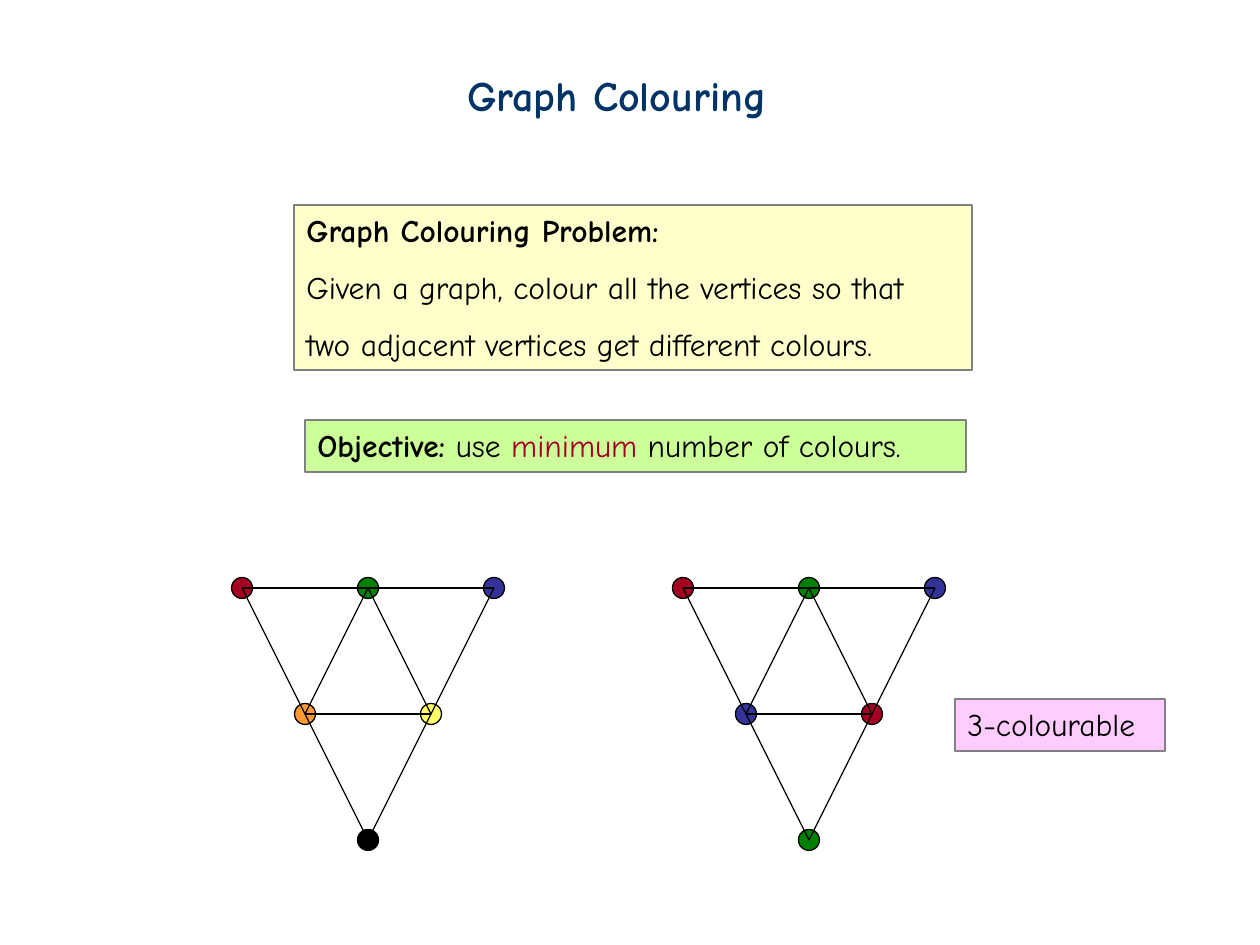
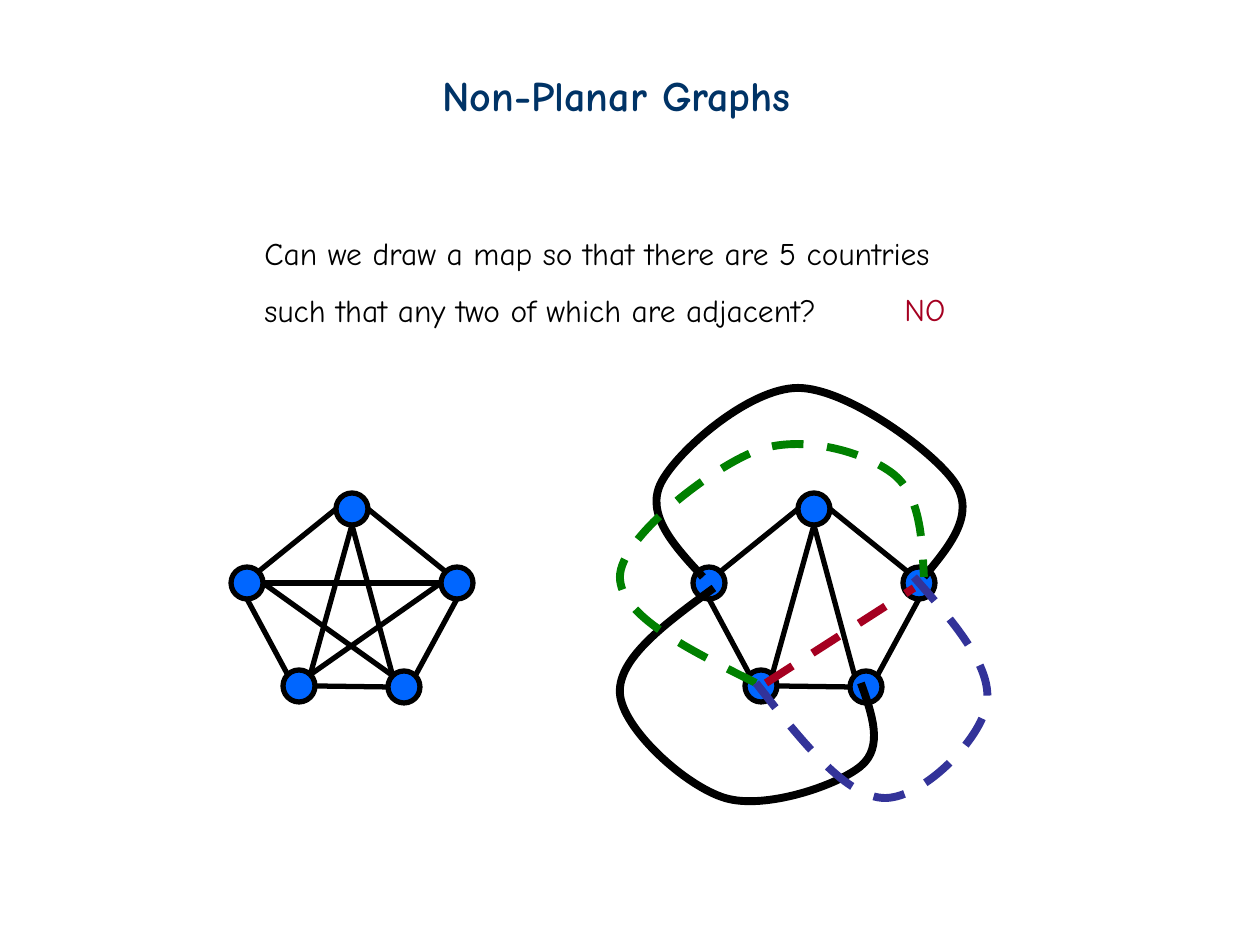
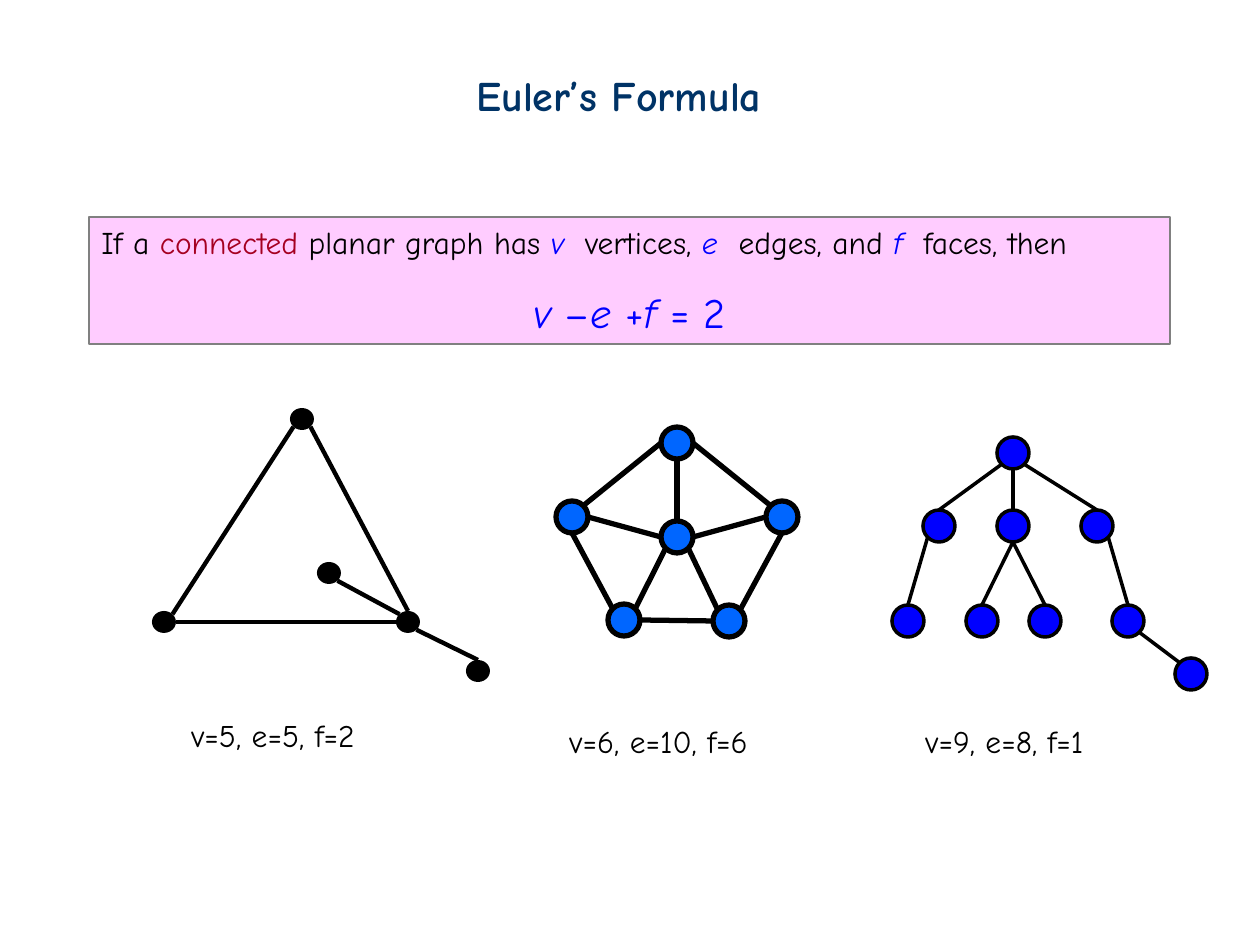
"""Build three slides on graph colouring, non-planar graphs and Euler's formula."""
import math

import lxml.etree
import pptx
import pptx.dml.color
import pptx.enum.dml
import pptx.enum.shapes
import pptx.enum.text
import pptx.oxml.ns
import pptx.util

RGBColor = pptx.dml.color.RGBColor
BLACK = RGBColor(0x00, 0x00, 0x00)
GREY = RGBColor(0x80, 0x80, 0x80)
NAVY = RGBColor(0x00, 0x33, 0x66)
RED = RGBColor(0xA5, 0x00, 0x21)
GREEN = RGBColor(0x00, 0x80, 0x00)
INDIGO = RGBColor(0x33, 0x33, 0x99)
ORANGE = RGBColor(0xFF, 0x99, 0x33)
YELLOW = RGBColor(0xFF, 0xFF, 0x66)
AZURE = RGBColor(0x00, 0x66, 0xFF)
BLUE = RGBColor(0x00, 0x00, 0xFF)
CREAM = RGBColor(0xFF, 0xFF, 0xCC)
LIME = RGBColor(0xCC, 0xFF, 0x99)
PINK = RGBColor(0xFF, 0xCC, 0xFF)

FONT = "Comic Neue"
PX = 7257
DASH = pptx.enum.dml.MSO_LINE.DASH
CENTER = None
TOP, TOP_LEFT, LEFT, BOTTOM_LEFT, BOTTOM, BOTTOM_RIGHT, RIGHT, TOP_RIGHT = range(8)


def add_text(slide, box, paragraphs, size=18, color=BLACK, bold=False, fill=None, wrap=False):
    shape = slide.shapes.add_textbox(*(length * PX for length in box))
    if fill is not None:
        shape.fill.solid()
        shape.fill.fore_color.rgb = fill
        shape.line.color.rgb = GREY
        shape.line.width = pptx.util.Pt(0.75)
    frame = shape.text_frame
    frame.word_wrap = wrap
    frame.auto_size = pptx.enum.text.MSO_AUTO_SIZE.SHAPE_TO_FIT_TEXT
    for index, runs in enumerate(paragraphs):
        paragraph = frame.add_paragraph() if index else frame.paragraphs[0]
        if index:
            paragraph.line_spacing = 1.5
        for text, style in runs:
            run = paragraph.add_run()
            run.text = text
            run.font.name = FONT
            run.font.size = pptx.util.Pt(style.get("size", size))
            run.font.color.rgb = style.get("color", color)
            run.font.bold = style.get("bold", bold)
            run.font.italic = style.get("italic", False)
            if "spacing" in style:
                run._r.get_or_add_rPr().set("spc", str(style["spacing"]))
    return frame


def add_line(slide, start, end, width, color=BLACK, dash=None):
    ends = (round(length * PX) for length in (*start, *end))
    line = slide.shapes.add_connector(pptx.enum.shapes.MSO_CONNECTOR.STRAIGHT, *ends)
    line.line.color.rgb = color
    line.line.width = pptx.util.Pt(width)
    line.line.dash_style = dash
    lxml.etree.SubElement(line._element.spPr, pptx.oxml.ns.qn("a:effectLst"))


presentation = pptx.Presentation()
presentation.slide_width = pptx.util.Inches(10)
presentation.slide_height = pptx.util.Inches(7.5)

slides = []
for title, left, width in (
    ("Graph Colouring", 455, 343),
    ("Non-Planar Graphs", 430, 410),
    ("Euler’s Formula", 464, 334),
):
    slide = presentation.slides.add_slide(presentation.slide_layouts[6])
    add_text(slide, (left, 63, width, 63), [[(title, {})]], size=24, color=NAVY, bold=True)
    slides.append(slide)
colouring, non_planar, euler = slides

add_text(colouring, (294, 205, 678, 165), [
    [("Graph Colouring Problem:", {"bold": True})],
    [("Given a graph, colour all the vertices so that", {})],
    [("two adjacent vertices get different colours.", {})],
], fill=CREAM)
add_text(colouring, (305, 420, 661, 52), [[
    ("Objective:", {"bold": True}),
    (" use ", {}),
    ("minimum", {"color": RED}),
    (" number of colours.", {}),
]], fill=LIME)
add_text(colouring, (955, 699, 210, 52), [[("3-colourable", {})]], fill=PINK)

add_text(non_planar, (252, 228, 749, 107), [
    [("Can we draw a map so that there are 5 countries", {})],
    [("such that any two of which are adjacent?", {})],
])
add_text(non_planar, (892, 284, 76, 50), [[("NO", {})]], color=RED)

variable = {"color": BLUE, "italic": True, "spacing": 300}
formula = {"size": 24, "color": BLUE}
formula_variable = {**formula, "italic": True}
theorem = add_text(euler, (89, 217, 1081, 127), [
    [
        ("If a ", {}), ("connected", {"color": RED}), (" planar graph has ", {}),
        ("v ", variable), ("vertices, ", {}),
        ("e ", variable), ("edges, and ", {}),
        ("f ", variable), ("faces, then", {}),
    ],
    [
        ("v ", formula_variable), ("–", formula), ("e ", formula_variable),
        ("+", formula), ("f", formula_variable), (" = 2", formula),
    ],
], fill=PINK, wrap=True)
theorem.paragraphs[1].alignment = pptx.enum.text.PP_ALIGN.CENTER
for counts, left, top, width in (
    ("v=5, e=5, f=2", 179, 710, 215),
    ("v=6, e=10, f=6", 557, 716, 231),
    ("v=9, e=8, f=1", 913, 716, 210),
):
    add_text(euler, (left, top, width, 50), [[(counts, {})]])

triangles = {"A": (0, 0), "B": (126, 0), "C": (252, 0), "D": (63, 126), "E": (189, 126), "F": (126, 252)}
triangle_edges = [(a, CENTER, b, CENTER) for a, b in ("AF", "AC", "CF", "BD", "DE", "BE")]

pentagon = {"top": (105, 0), "west": (0, 74), "east": (210, 74), "left foot": (52, 177), "right foot": (157, 178)}
rim = [
    ("left foot", RIGHT, "right foot", LEFT),
    ("top", RIGHT, "east", TOP_LEFT),
    ("east", BOTTOM, "right foot", TOP_RIGHT),
    ("top", LEFT, "west", TOP_RIGHT),
    ("west", BOTTOM, "left foot", TOP_LEFT),
]
inner = [
    ("top", BOTTOM, "right foot", TOP_LEFT),
    ("top", BOTTOM, "left foot", TOP_RIGHT),
    ("east", RIGHT, "east", RIGHT),
]
crossing = [
    ("west", RIGHT, "east", LEFT),
    ("right foot", TOP_LEFT, "west", RIGHT),
    ("left foot", TOP_RIGHT, "east", LEFT),
]
wheel = {**pentagon, "hub": (105, 94)}
spokes = [
    ("top", BOTTOM, "hub", TOP),
    ("hub", RIGHT, "east", LEFT),
    ("hub", BOTTOM_RIGHT, "right foot", TOP_LEFT),
    ("hub", BOTTOM_LEFT, "left foot", TOP_RIGHT),
    ("hub", LEFT, "west", RIGHT),
]

tailed = {"apex": (138, 0), "inside": (165, 154), "left": (0, 203), "right": (244, 203), "tail": (314, 252)}
tailed_edges = [
    ("left", TOP_RIGHT, "apex", BOTTOM_LEFT),
    ("right", TOP, "apex", BOTTOM_RIGHT),
    ("tail", TOP, "right", BOTTOM_RIGHT),
    ("right", TOP_LEFT, "inside", BOTTOM_RIGHT),
    ("left", RIGHT, "right", LEFT),
]

tree = {
    "root": (105, 0), "left": (31, 73), "middle": (105, 73), "right": (189, 73),
    "leaf 1": (0, 168), "leaf 2": (74, 168), "leaf 3": (137, 168), "branch": (220, 168), "leaf 4": (283, 221),
}
tree_edges = [
    ("root", BOTTOM, "middle", TOP),
    ("root", BOTTOM_LEFT, "left", TOP),
    ("root", BOTTOM_RIGHT, "right", TOP),
    ("middle", BOTTOM, "leaf 2", TOP),
    ("middle", BOTTOM, "leaf 3", TOP),
    ("left", BOTTOM_LEFT, "leaf 1", TOP),
    ("right", BOTTOM_RIGHT, "branch", TOP),
    ("branch", BOTTOM_RIGHT, "leaf 4", TOP_LEFT),
]

six_colours = [RED, GREEN, INDIGO, ORANGE, YELLOW, BLACK]
three_colours = [RED, GREEN, INDIGO, INDIGO, RED, GREEN]
graphs = [
    (colouring, (242, 588), triangles, triangle_edges, (21, 21), six_colours, 0.75, 0.75),
    (colouring, (683, 588), triangles, triangle_edges, (21, 21), three_colours, 0.75, 0.75),
    (non_planar, (247, 509), pentagon, rim + inner + crossing, (32, 32), [AZURE] * 5, 3, 3),
    (non_planar, (709, 509), pentagon, rim + inner, (32, 32), [AZURE] * 5, 3, 3),
    (euler, (164, 419), tailed, tailed_edges, (24, 22), [BLACK] * 5, 0, 2.5),
    (euler, (572, 443), wheel, rim + spokes, (32, 32), [AZURE] * 6, 3, 3),
    (euler, (908, 453), tree, tree_edges, (32, 32), [BLUE] * 9, 2, 2),
]
for slide, origin, vertices, edges, (width, height), fills, outline, edge_width in graphs:
    for (x, y), fill in zip(vertices.values(), fills):
        vertex = slide.shapes.add_shape(
            pptx.enum.shapes.MSO_SHAPE.OVAL,
            (origin[0] + x) * PX - width * PX // 2,
            (origin[1] + y) * PX - height * PX // 2,
            width * PX,
            height * PX,
        )
        vertex.shadow.inherit = False
        vertex.fill.solid()
        vertex.fill.fore_color.rgb = fill
        if outline:
            vertex.line.color.rgb = BLACK
            vertex.line.width = pptx.util.Pt(outline)
        else:
            vertex.line.fill.background()
    for start, start_site, end, end_site in edges:
        ends = []
        for name, site in ((start, start_site), (end, end_site)):
            x, y = origin[0] + vertices[name][0], origin[1] + vertices[name][1]
            if site is not CENTER:
                x -= width / 2 * math.sin(site * math.pi / 4)
                y -= height / 2 * math.cos(site * math.pi / 4)
            ends.append((x, y))
        add_line(slide, *ends, edge_width)

add_line(non_planar, (766, 683), (914, 588), 4.5, RED, DASH)

detours = [
    (BLACK, None, [(703, 577), (661, 483), (798, 388), (955, 483), (924, 577)]),
    (BLACK, None, [(714, 588), (620, 693), (725, 798), (861, 766), (861, 683)]),
    (GREEN, DASH, [(756, 683), (620, 577), (756, 451), (892, 473), (924, 577)]),
    (INDIGO, DASH, [(756, 683), (882, 798), (987, 703), (914, 577)]),
]
for color, dash, knots in detours:
    last = len(knots) - 1
    before, after = list(knots), list(knots)
    for i in range(1, last):
        slope = [(knots[i + 1][axis] - knots[i - 1][axis]) / 6 for axis in (0, 1)]
        before[i] = [knots[i][axis] - slope[axis] for axis in (0, 1)]
        after[i] = [knots[i][axis] + slope[axis] for axis in (0, 1)]
    after[0] = [(knots[0][axis] + before[1][axis]) / 2 for axis in (0, 1)]
    before[last] = [(knots[last][axis] + after[last - 1][axis]) / 2 for axis in (0, 1)]

    builder = non_planar.shapes.build_freeform(knots[0][0] * PX, knots[0][1] * PX)
    for i in range(last):
        controls = (after[i], before[i + 1], knots[i + 1])
        builder.add_line_segments([(x * PX, y * PX) for x, y in controls], close=False)
    curve = builder.convert_to_shape()
    segments = list(curve._element.iter(pptx.oxml.ns.qn("a:lnTo")))
    for first in range(0, len(segments), 3):
        bezier = lxml.etree.Element(pptx.oxml.ns.qn("a:cubicBezTo"))
        segments[first].addprevious(bezier)
        for segment in segments[first:first + 3]:
            bezier.append(segment[0])
            segment.getparent().remove(segment)
    curve.shadow.inherit = False
    curve.fill.background()
    curve.line.color.rgb = color
    curve.line.width = pptx.util.Pt(4.5)
    curve.line.dash_style = dash

presentation.save("out.pptx")
